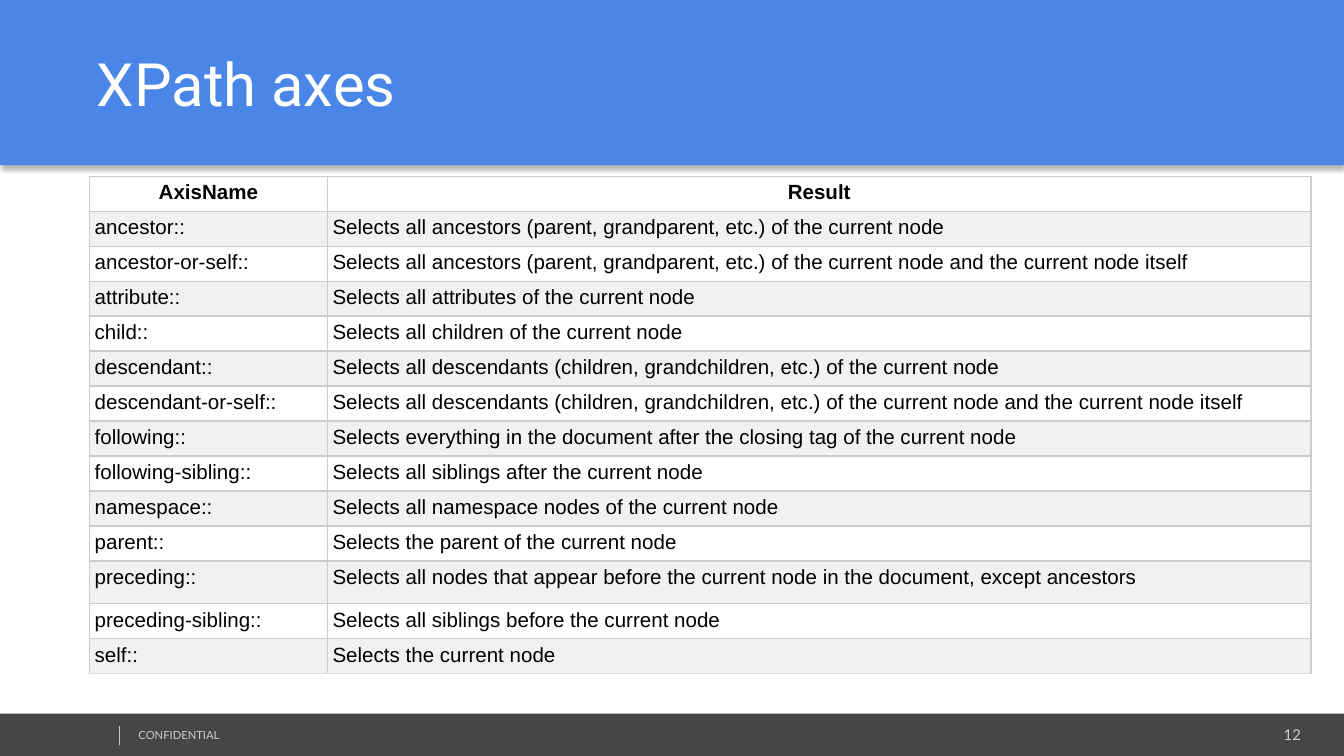
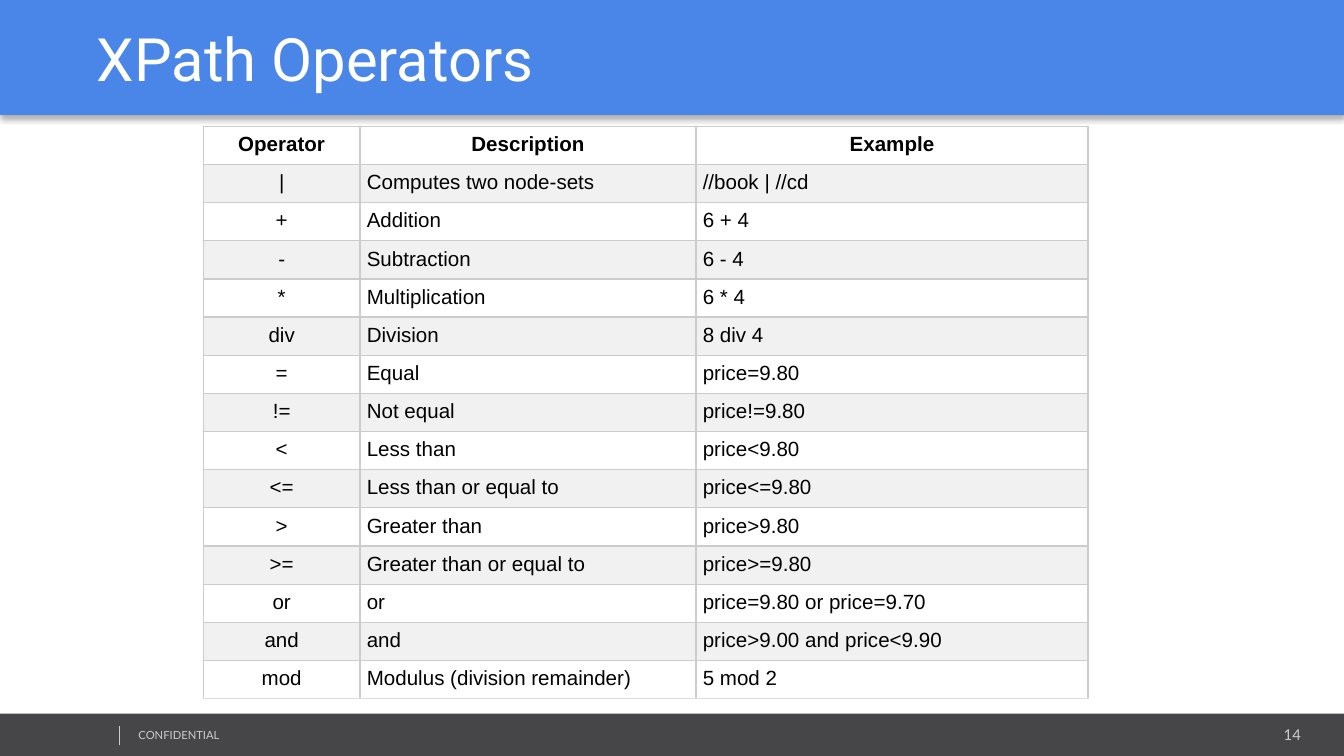
from dataclasses import dataclass

from pptx import Presentation
from pptx.dml.color import RGBColor
from pptx.enum.shapes import MSO_CONNECTOR, MSO_SHAPE
from pptx.enum.text import MSO_ANCHOR, PP_ALIGN
from pptx.oxml import parse_xml
from pptx.oxml.ns import nsdecls
from pptx.util import Pt


@dataclass(frozen=True)
class Theme:
    band: str = "4A86E8"
    footer: str = "464547"
    muted: str = "CCCCCC"
    table_end: str = "DDDDDD"
    stripe: str = "F1F1F1"
    white: str = "FFFFFF"
    black: str = "000000"
    title_font: str = "Roboto"
    footer_font: str = "Lato"
    table_font: str = "Arial"
    title_size: float = 32
    table_size: float = 11
    number_size: float = 8
    note_size: float = 6
    hairline: float = 0.75


THEME = Theme()
WIDTH, HEIGHT = 720, 405
FOOTER_TOP = 382.3

AXES = [
    ("AxisName", "Result"),
    ("ancestor::", "Selects all ancestors (parent, grandparent, etc.) of the current node"),
    ("ancestor-or-self::",
     "Selects all ancestors (parent, grandparent, etc.) of the current node and the current node itself"),
    ("attribute::", "Selects all attributes of the current node"),
    ("child::", "Selects all children of the current node"),
    ("descendant::", "Selects all descendants (children, grandchildren, etc.) of the current node"),
    ("descendant-or-self::",
     "Selects all descendants (children, grandchildren, etc.) of the current node and the current node itself"),
    ("following::", "Selects everything in the document after the closing tag of the current node"),
    ("following-sibling::", "Selects all siblings after the current node"),
    ("namespace::", "Selects all namespace nodes of the current node"),
    ("parent::", "Selects the parent of the current node"),
    ("preceding::", "Selects all nodes that appear before the current node in the document, except ancestors"),
    ("preceding-sibling::", "Selects all siblings before the current node"),
    ("self::", "Selects the current node"),
]

OPERATORS = [
    ("Operator", "Description", "Example"),
    ("|", "Computes two node-sets", "//book | //cd"),
    ("+", "Addition", "6 + 4"),
    ("-", "Subtraction", "6 - 4"),
    ("*", "Multiplication", "6 * 4"),
    ("div", "Division", "8 div 4"),
    ("=", "Equal", "price=9.80"),
    ("!=", "Not equal", "price!=9.80"),
    ("<", "Less than", "price<9.80"),
    ("<=", "Less than or equal to", "price<=9.80"),
    (">", "Greater than", "price>9.80"),
    (">=", "Greater than or equal to", "price>=9.80"),
    ("or", "or", "price=9.80 or price=9.70"),
    ("and", "and", "price>9.00 and price<9.90"),
    ("mod", "Modulus (division remainder)", "5 mod 2"),
]

# Row heights are minimums; tall_rows overrides single rows.
TOPICS = [
    dict(title="XPath axes", number="12", band_height=88.5, left=48, top=94.4,
         columns=(127.4, 527), row_height=13.7, tall_rows={11: 23}, inset=2.75,
         centred_columns=(), rows=AXES),
    dict(title="XPath Operators", number="14", band_height=61.7, left=108.9, top=67.7,
         columns=(84, 180, 210), row_height=19.95, tall_rows={}, inset=3.6,
         centred_columns=(0,), rows=OPERATORS),
]


def add_run(paragraph, text, font, size, color, bold=False):
    run = paragraph.add_run()
    run.text = text
    run.font.name = font
    run.font.size = Pt(size)
    run.font.bold = bold
    run.font.color.rgb = RGBColor.from_string(color)


def set_insets(target, left, top, right, bottom):
    """Set the margins of a text frame or a table cell."""
    target.margin_left, target.margin_top = Pt(left), Pt(top)
    target.margin_right, target.margin_bottom = Pt(right), Pt(bottom)


deck = Presentation()
deck.slide_width, deck.slide_height = Pt(WIDTH), Pt(HEIGHT)

for topic in TOPICS:
    slide = deck.slides.add_slide(deck.slide_layouts[6])

    # Footer
    footer = slide.shapes.add_shape(MSO_SHAPE.RECTANGLE, 0, Pt(FOOTER_TOP), Pt(WIDTH), Pt(HEIGHT - FOOTER_TOP))
    footer.shadow.inherit = False
    footer.fill.solid()
    footer.fill.fore_color.rgb = RGBColor.from_string(THEME.footer)
    footer.line.fill.background()

    for text, size, align, left, top, width, height in (
        (topic["number"], THEME.number_size, PP_ALIGN.RIGHT, 584.6, 385.9, 117.4, 15),
        ("CONFIDENTIAL", THEME.note_size, PP_ALIGN.LEFT, 69.2, 387.4, 182, 13),
    ):
        frame = slide.shapes.add_textbox(Pt(left), Pt(top), Pt(width), Pt(height)).text_frame
        frame.word_wrap = True
        set_insets(frame, 5, 2.9, 5, 2.9)
        frame.paragraphs[0].alignment = align
        add_run(frame.paragraphs[0], text, THEME.footer_font, size, THEME.muted)

    divider = slide.shapes.add_connector(MSO_CONNECTOR.STRAIGHT, Pt(64), Pt(388.9), Pt(64), Pt(398.9))
    divider.line.color.rgb = RGBColor.from_string(THEME.muted)
    divider.line.width = Pt(THEME.hairline)
    divider._element.spPr.append(parse_xml(f"<a:effectLst {nsdecls('a')}/>"))

    # Title band
    band = slide.shapes.add_shape(MSO_SHAPE.RECTANGLE, 0, 0, Pt(WIDTH), Pt(topic["band_height"]))
    band.fill.solid()
    band.fill.fore_color.rgb = RGBColor.from_string(THEME.band)
    band.line.fill.background()
    band._element.spPr.append(parse_xml(
        f"<a:effectLst {nsdecls('a')}>"
        f'<a:outerShdw blurRad="{Pt(3.1)}" dist="{Pt(2)}" dir="5400000" algn="t" rotWithShape="0">'
        f'<a:srgbClr val="{THEME.black}"><a:alpha val="30000"/></a:srgbClr>'
        "</a:outerShdw></a:effectLst>"))
    band.text_frame.word_wrap = True
    band.text_frame.vertical_anchor = MSO_ANCHOR.MIDDLE
    set_insets(band.text_frame, 21.6, 2.9, 5, 2.9)
    title = band.text_frame.paragraphs[0]
    title.alignment = PP_ALIGN.LEFT
    title._p.get_or_add_pPr().set("indent", str(Pt(30.4)))
    add_run(title, topic["title"], THEME.title_font, THEME.title_size, THEME.white)

    # Reference table
    rows, columns = topic["rows"], topic["columns"]
    heights = [topic["tall_rows"].get(r, topic["row_height"]) for r in range(len(rows))]
    table = slide.shapes.add_table(len(rows), len(columns), Pt(topic["left"]), Pt(topic["top"]),
                                   Pt(sum(columns)), Pt(sum(heights))).table
    table.first_row = table.horz_banding = False
    for c, width in enumerate(columns):
        table.columns[c].width = Pt(width)
    for r, entries in enumerate(rows):
        table.rows[r].height = Pt(heights[r])
        is_header, is_last = r == 0, r == len(rows) - 1
        for c, entry in enumerate(entries):
            cell = table.cell(r, c)
            for side in "LRTB":
                color = THEME.table_end if is_last and side == "B" else THEME.muted
                cell._tc.get_or_add_tcPr().append(parse_xml(
                    f"<a:ln{side} {nsdecls('a')} w=\"{Pt(THEME.hairline)}\">"
                    f'<a:solidFill><a:srgbClr val="{color}"/></a:solidFill></a:ln{side}>'))
            cell.fill.solid()
            cell.fill.fore_color.rgb = RGBColor.from_string(THEME.stripe if r % 2 else THEME.white)
            set_insets(cell, *[topic["inset"]] * 4)
            paragraph = cell.text_frame.paragraphs[0]
            centred = is_header or c in topic["centred_columns"]
            paragraph.alignment = PP_ALIGN.CENTER if centred else PP_ALIGN.LEFT
            add_run(paragraph, entry, THEME.table_font, THEME.table_size, THEME.black, bold=is_header)

deck.save("out.pptx")
